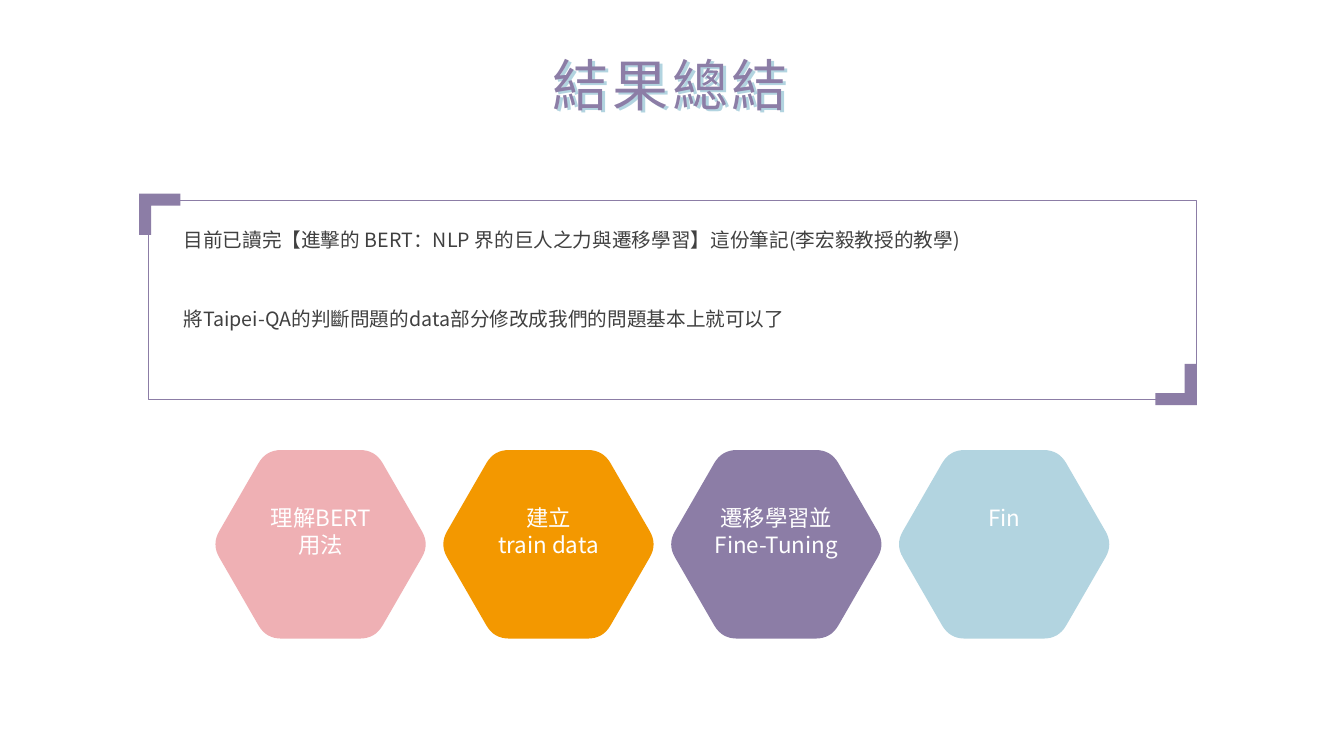
"""Build the results summary slide with a framed note and four hexagon steps."""
from math import cos, pi, sin

from lxml import etree
from pptx import Presentation
from pptx.dml.color import RGBColor
from pptx.enum.shapes import MSO_SHAPE
from pptx.enum.text import MSO_ANCHOR, MSO_AUTO_SIZE, PP_ALIGN
from pptx.oxml.ns import qn
from pptx.util import Inches, Pt

RECTANGLE = MSO_SHAPE.RECTANGLE
TOP = MSO_ANCHOR.TOP
NO_AUTOFIT = MSO_AUTO_SIZE.NONE
LEFT, CENTER = PP_ALIGN.LEFT, PP_ALIGN.CENTER
FONT = "Noto Sans CJK SC"
COLORS = {
    "purple": "8C7DA6",
    "blue": "B2D4E0",
    "pink": "EFB0B4",
    "orange": "F39800",
    "white": "FFFFFF",
    "dark": "404040",
}


def write_text(shape, lines, size, color, align=CENTER, inset=(0.1, 0.05),
               line_spacing=1.0, gap=0, tracking=0):
    frame = shape.text_frame
    frame.word_wrap = True
    frame.auto_size = NO_AUTOFIT
    frame.vertical_anchor = TOP
    frame.margin_left = frame.margin_right = Inches(inset[0])
    frame.margin_top, frame.margin_bottom = Inches(inset[1]), 0
    for index, line in enumerate(lines):
        paragraph = frame.paragraphs[0] if index == 0 else frame.add_paragraph()
        paragraph.alignment = align
        paragraph.line_spacing = line_spacing
        paragraph.space_before = Pt(gap if index else 0)
        properties = paragraph._p.get_or_add_pPr()
        properties.set("marL", "0")
        properties.set("indent", "0")
        etree.SubElement(properties, qn("a:buNone"))
        run = paragraph.add_run()
        run.text = line
        run.font.size = Pt(size)
        run.font.name = FONT
        run.font.color.rgb = RGBColor.from_string(COLORS[color])
        run_properties = run.font._element
        etree.SubElement(run_properties, qn("a:ea")).set("typeface", FONT)
        if tracking:
            run_properties.set("spc", str(tracking))


def add_outline(shapes, points, color):
    points = [(Inches(x), Inches(y)) for x, y in points]
    builder = shapes.build_freeform(*points[0])
    builder.add_line_segments(points[1:], close=True)
    shape = builder.convert_to_shape()
    shape.shadow.inherit = False
    shape.fill.solid()
    shape.fill.fore_color.rgb = RGBColor.from_string(COLORS[color])
    shape.line.fill.background()
    return shape


presentation = Presentation()
presentation.slide_width = Inches(13.33)
presentation.slide_height = Inches(7.5)
slide = presentation.slides.add_slide(presentation.slide_layouts[1])
shapes = slide.shapes
title, body = shapes.title, slide.placeholders[1]

title_shade = shapes.add_textbox(Inches(5.05), Inches(0.47), Inches(3.26), Inches(0.77))
title.left, title.top = Inches(5.02), Inches(0.45)
title.width, title.height = Inches(3.26), Inches(0.77)
for shape, color in ((title_shade, "blue"), (title, "purple")):
    write_text(shape, ["結果總結"], 40, color, tracking=270)
title_shade.element.addnext(title.element)

frame = shapes.add_shape(RECTANGLE, Inches(1.47), Inches(1.99), Inches(10.39), Inches(1.97))
frame.shadow.inherit = False
frame.fill.background()
frame.line.color.rgb = RGBColor.from_string(COLORS["purple"])
frame.line.width = Pt(0.25)

bracket = [(0, 0), (0.41, 0), (0.41, 0.12), (0.12, 0.12), (0.12, 0.41), (0, 0.41)]
for corner_x, corner_y, direction in ((1.38, 1.92, 1), (11.87, 4.02, -1)):
    points = [(corner_x + direction * x, corner_y + direction * y) for x, y in bracket]
    add_outline(shapes, points, "purple")

body.left, body.top = Inches(1.72), Inches(2.09)
body.width, body.height = Inches(9.87), Inches(1.2)
notes = [
    "目前已讀完【進擊的 BERT：NLP 界的巨人之力與遷移學習】這份筆記(李宏毅教授的教學)",
    "將Taipei-QA的判斷問題的data部分修改成我們的問題基本上就可以了",
]
write_text(body, notes, 14, "dark", align=LEFT, line_spacing=1.5, gap=31.5)

RADIUS, ROUNDING, CURVE_STEPS = 1.08, 0.15, 8
corners = [(RADIUS * cos(k * pi / 3), RADIUS * sin(k * pi / 3)) for k in range(6)]
hexagon = []
for k, (x, y) in enumerate(corners):
    share = ROUNDING / RADIUS
    (before_x, before_y), (after_x, after_y) = corners[k - 1], corners[(k + 1) % 6]
    for step in range(CURVE_STEPS + 1):
        t = step / CURVE_STEPS
        back, ahead = share * (1 - t) ** 2, share * t ** 2
        hexagon.append((x + back * (before_x - x) + ahead * (after_x - x),
                        y + back * (before_y - y) + ahead * (after_y - y)))

steps = [
    (["理解BERT", "用法"], "pink"),
    (["建立", "train data"], "orange"),
    (["遷移學習並Fine-Tuning"], "purple"),
    (["Fin"], "blue"),
]
for index, (lines, color) in enumerate(steps):
    center_x, center_y = 3.18 + 2.26 * index, 5.4
    points = [(center_x + x, center_y + y) for x, y in hexagon]
    shape = add_outline(shapes, points, color)
    write_text(shape, lines, 16, "white", inset=(0.35, 0.54))

presentation.save("out.pptx")
